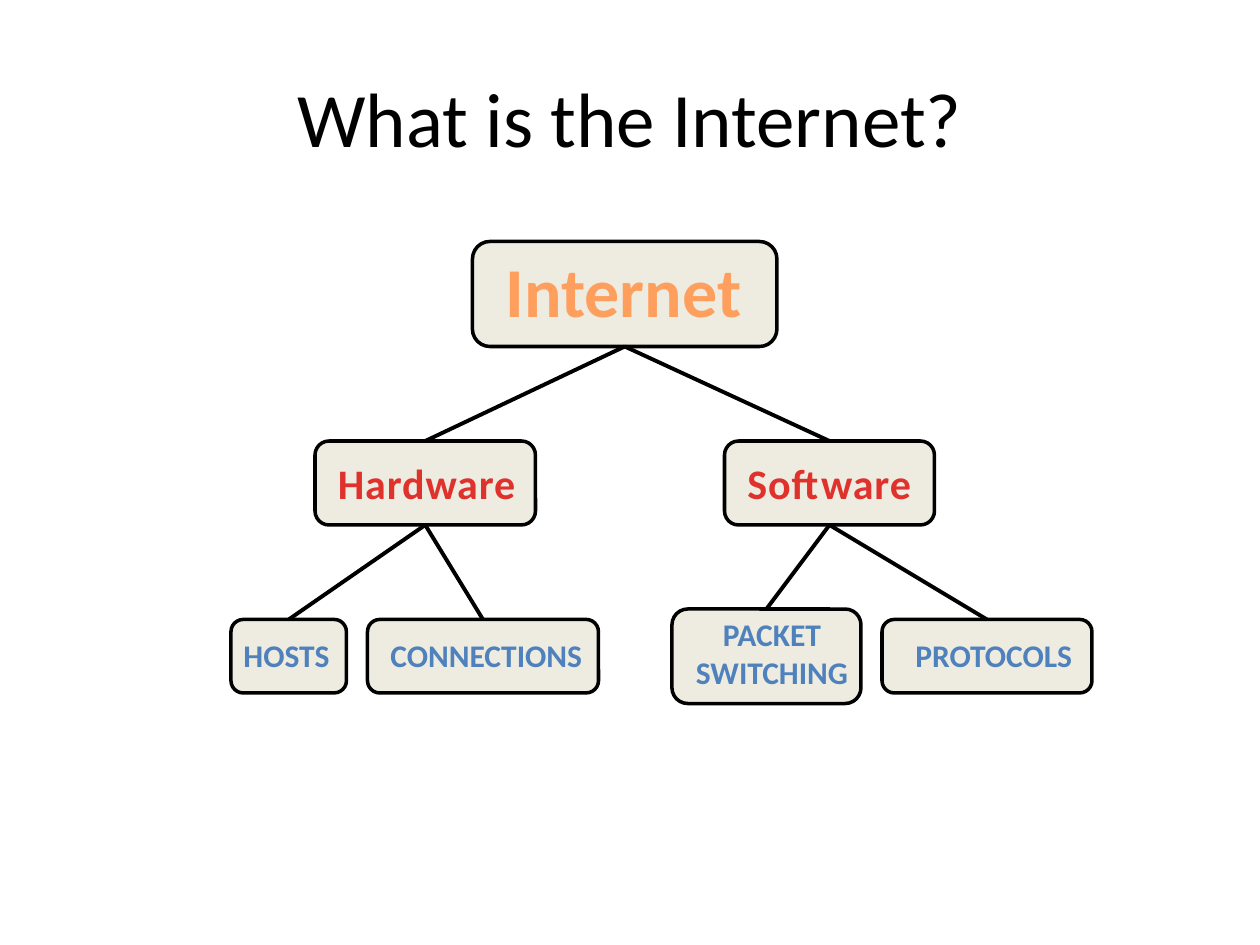
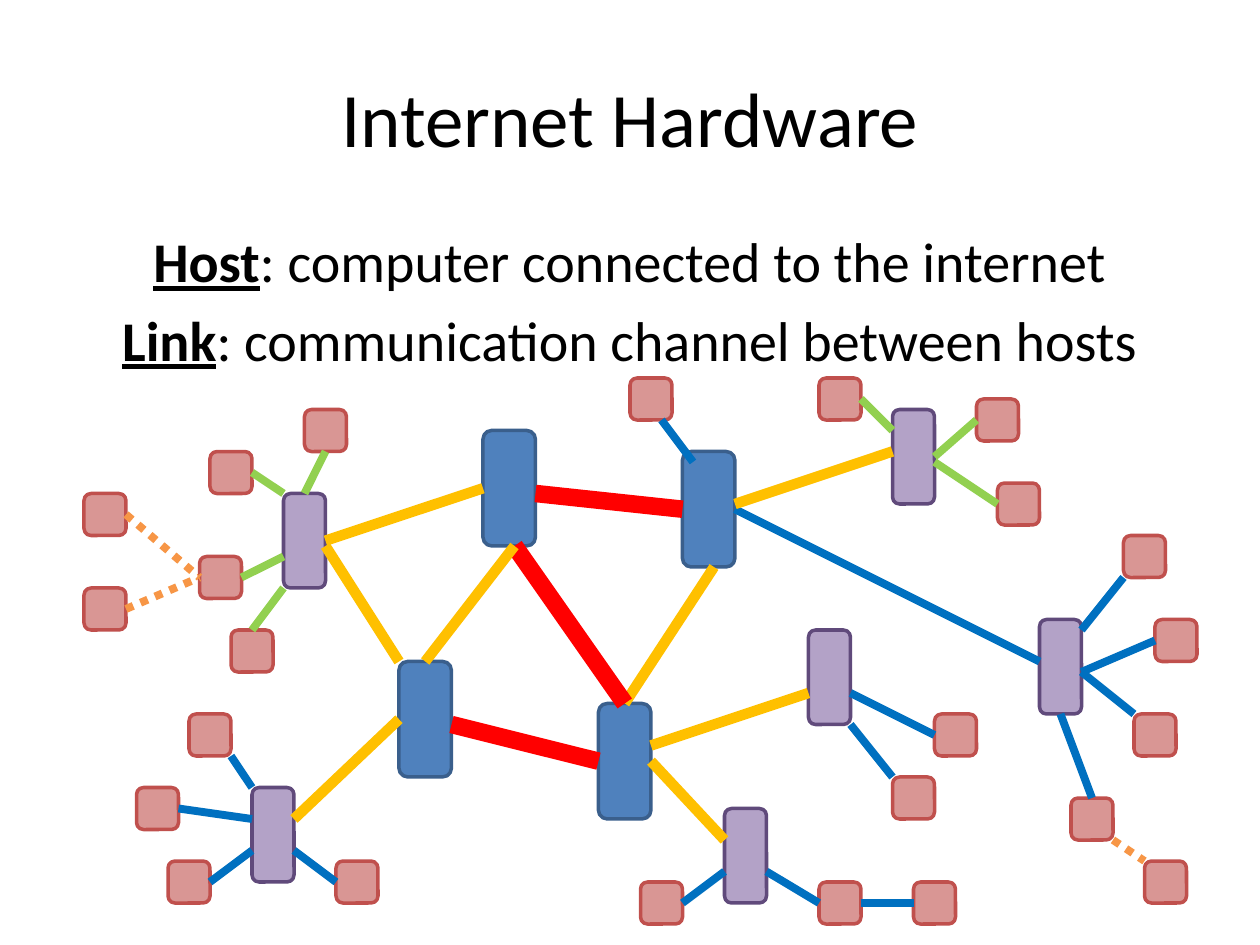
from lxml import etree
from pptx import Presentation
from pptx.dml.color import RGBColor as RGB
from pptx.enum.dml import MSO_LINE as DASH
from pptx.enum.shapes import MSO_CONNECTOR as CONN, MSO_SHAPE as SHAPE
from pptx.enum.text import MSO_ANCHOR as ANCHOR, MSO_AUTO_SIZE as AUTO, PP_ALIGN as ALIGN
from pptx.oxml.ns import qn
from pptx.util import Inches, Pt

FONT = "Calibri"
BLACK = RGB(0x00, 0x00, 0x00)
CREAM = RGB(0xEE, 0xEC, 0xE1)
PEACH = RGB(0xFF, 0x9F, 0x5D)
BRICK = RGB(0xE0, 0x32, 0x2D)
BLUE = RGB(0x4F, 0x81, 0xBD)
NAVY = RGB(0x3A, 0x5F, 0x8C)
LILAC = RGB(0xB3, 0xA2, 0xC7)
PLUM = RGB(0x60, 0x4A, 0x7B)
PINK = RGB(0xD9, 0x96, 0x94)
ROSE = RGB(0xC0, 0x50, 0x4D)
ORANGE = RGB(0xF7, 0x96, 0x46)
GREEN = RGB(0x92, 0xD0, 0x50)
AZURE = RGB(0x00, 0x70, 0xC0)
GOLD = RGB(0xFF, 0xC0, 0x00)
RED = RGB(0xFF, 0x00, 0x00)

# Tree: key -> left, top, width, height in grid steps
BOXES = {
    "Internet": (23, 0, 29, 10),
    "Hardware": (8, 19, 21, 8),
    "Software": (47, 19, 20, 8),
    "HOSTS": (0, 36, 11, 7),
    "CONNECTIONS": (13, 36, 22, 7),
    "PACKET\nSWITCHING": (42, 35, 18, 9),
    "PROTOCOLS": (62, 36, 20, 7),
}
# Label: offset in its box in grid steps, then size in inches
LABELS = {
    "Internet": (2, 0, 2.09, 0.77),
    "Hardware": (1, 1, 1.63, 0.5),
    "Software": (1, 1, 1.52, 0.5),
    "HOSTS": (0, 1, 0.89, 0.4),
    "CONNECTIONS": (1, 1, 1.74, 0.4),
    "PACKET\nSWITCHING": (1, 0, 1.42, 0.71),
    "PROTOCOLS": (2, 1, 1.46, 0.4),
}
# Depth of the tree -> text size, colour, letter spacing in 1/100 pt
LEVELS = [(40, PEACH, 0), (24, BRICK, 50), (18, BLUE, 0)]
KIDS = {
    "Internet": ["Hardware", "Software"],
    "Hardware": ["HOSTS", "CONNECTIONS"],
    "Software": ["PACKET\nSWITCHING", "PROTOCOLS"],
}

# Network: width, height, fill, edge and places of each kind of node
NODES = [
    (5, 11, BLUE, NAVY, [(46, 5), (57, 31), (65, 7), (38, 27)]),
    (4, 9, LILAC, PLUM,
     [(77, 24), (27, 11), (85, 3), (24, 39), (69, 41), (99, 23)]),
    (4, 4, PINK, ROSE,
     [(85, 38), (78, 48), (61, 48), (89, 32), (102, 40), (108, 32),
      (110, 23), (107, 15), (95, 10), (93, 2), (78, 0), (60, 0),
      (109, 46), (87, 48), (16, 46), (32, 46), (13, 39), (18, 32),
      (22, 24), (19, 17), (20, 7), (29, 3), (8, 20), (8, 11)]),
]
# Colour, width, dash and ends (x1, y1, x2, y2) of each kind of link
LINKS = [
    (ORANGE, 4.5, DASH.ROUND_DOT,
     [(12, 22, 19, 19), (12, 13, 19, 19), (106, 44, 109, 46)]),
    (GREEN, 4.5, None,
     [(24, 24, 27, 20), (23, 19, 27, 17), (24, 9, 27, 11), (31, 7, 29, 11),
      (89, 8, 95, 12), (89, 7.5, 93, 4), (82, 2, 85, 5)]),
    (AZURE, 4.5, None,
     [(103, 24, 107, 19), (103, 28, 110, 25), (103, 28, 108, 32),
      (104, 40, 101, 32), (99, 27, 70, 12.5), (81, 30, 89, 34),
      (81, 33, 85, 38), (82, 50, 87, 50), (73, 47, 78, 50),
      (65, 50, 69, 47), (28, 45, 32, 48), (20, 48, 24, 45),
      (17, 41, 24, 42), (22, 36, 24, 39), (63, 4, 66, 8)]),
    (GOLD, 6, None,
     [(28, 42, 38, 32.5), (31, 15.5, 46, 10.5), (31, 16, 38, 27),
      (70, 12, 85, 7), (62, 35, 77, 30), (62, 36.5, 69, 44),
      (59.5, 31, 68, 18)]),
    (RED, 10, None,
     [(43, 33, 57, 36.5), (51, 11, 65, 12.5), (59.5, 31, 49, 16)]),
    (GOLD, 6, None, [(40.5, 27, 49, 16)]),
]


def grid(n):
    """Length of n grid steps, twelve to the inch."""
    return Inches(n / 12)


def write(para, text, size, color=BLACK, bold=False, under=False, gap=0):
    run = para.add_run()
    run.text = text
    font = run.font
    font.name, font.size, font.bold, font.underline = FONT, Pt(size), bold, under
    font.color.rgb = color
    if gap:
        run._r.get_or_add_rPr().set("spc", str(gap))


def frame(shapes, left, top, width, height, wrap=True):
    text = shapes.add_textbox(left, top, width, height).text_frame
    text.word_wrap = wrap
    return text


def block(shapes, left, top, width, height, fill, edge):
    node = shapes.add_shape(SHAPE.ROUNDED_RECTANGLE, left, top, width, height)
    node.shadow.inherit = False
    node.fill.solid()
    node.fill.fore_color.rgb = fill
    node.line.color.rgb = edge
    node.line.width = Pt(2)
    return node


def wire(slide, ends, color, width, dash=None):
    link = slide.shapes.add_connector(CONN.STRAIGHT, *ends)
    etree.SubElement(link._element.spPr, qn("a:effectLst"))
    link.line.color.rgb = color
    link.line.width = Pt(width)
    if dash:
        link.line.dash_style = dash
    return link


def title(slide, text):
    box = frame(slide.shapes, Inches(0.5), Inches(0.3), Inches(9), Inches(1.25))
    box.vertical_anchor = ANCHOR.MIDDLE
    para = box.paragraphs[0]
    para.alignment = ALIGN.CENTER
    write(para, text, 44)


def terms(slide, left, top, width, height, items):
    """Centred lines, each an underlined term and its meaning."""
    box = frame(slide.shapes, left, top, width, height)
    for i, (term, sense) in enumerate(items):
        para = box.add_paragraph() if i else box.paragraphs[0]
        para.alignment = ALIGN.CENTER
        para.space_before = Pt(6.4)
        write(para, term, 32, bold=True, under=True)
        write(para, sense, 32)


def branch(slide, left, top, key, depth=0):
    """Draw a box, its label and all below it; return the box."""
    x, y, w, h = BOXES[key]
    x, y = left + grid(x), top + grid(y)
    group = slide.shapes.add_group_shape()
    node = block(group.shapes, x, y, grid(w), grid(h), CREAM, BLACK)
    dx, dy, wide, high = LABELS[key]
    label = frame(group.shapes, x + grid(dx), y + grid(dy),
                  Inches(wide), Inches(high), wrap=False)
    label.auto_size = AUTO.SHAPE_TO_FIT_TEXT
    size, color, gap = LEVELS[depth]
    lines = key.split("\n")
    for i, line in enumerate(lines):
        para = label.add_paragraph() if i else label.paragraphs[0]
        if len(lines) > 1:
            para.alignment = ALIGN.CENTER
        write(para, line, size, color, bold=True, gap=gap)
    for kid in KIDS.get(key, []):
        child = branch(slide, left, top, kid, depth + 1)
        link = wire(slide, (0, 0, 0, 0), BLACK, 2.25)
        link.begin_connect(node, 2)
        link.end_connect(child, 0)
    return node


def network(slide, left, top):
    ports = {}  # middle of a side -> node and side number
    for w, h, fill, edge, spots in NODES:
        for x, y in spots:
            node = block(slide.shapes, left + grid(x), top + grid(y),
                         grid(w), grid(h), fill, edge)
            mids = [(x + w / 2, y), (x, y + h / 2),
                    (x + w / 2, y + h), (x + w, y + h / 2)]
            for side, mid in enumerate(mids):
                ports[mid] = node, side
    for color, width, dash, links in LINKS:
        for x1, y1, x2, y2 in links:
            ends = (left + grid(x1), top + grid(y1),
                    left + grid(x2), top + grid(y2))
            link = wire(slide, ends, color, width, dash)
            if (x1, y1) in ports:
                link.begin_connect(*ports[x1, y1])
            if (x2, y2) in ports:
                link.end_connect(*ports[x2, y2])


def main():
    deck = Presentation()
    deck.slide_width, deck.slide_height = Inches(10), Inches(7.5)
    blank = deck.slide_layouts[6]

    slide = deck.slides.add_slide(blank)
    title(slide, "What is the Internet?")
    branch(slide, grid(22), grid(23), "Internet")

    slide = deck.slides.add_slide(blank)
    title(slide, "Internet Hardware")
    terms(slide, Inches(0.5), Inches(1.75), Inches(9), Inches(4.95), [
        ("Host", ": computer connected to the internet"),
        ("Link", ": communication channel between hosts"),
    ])
    network(slide, Inches(0), Inches(3))
    deck.save("out.pptx")


if __name__ == "__main__":
    main()
